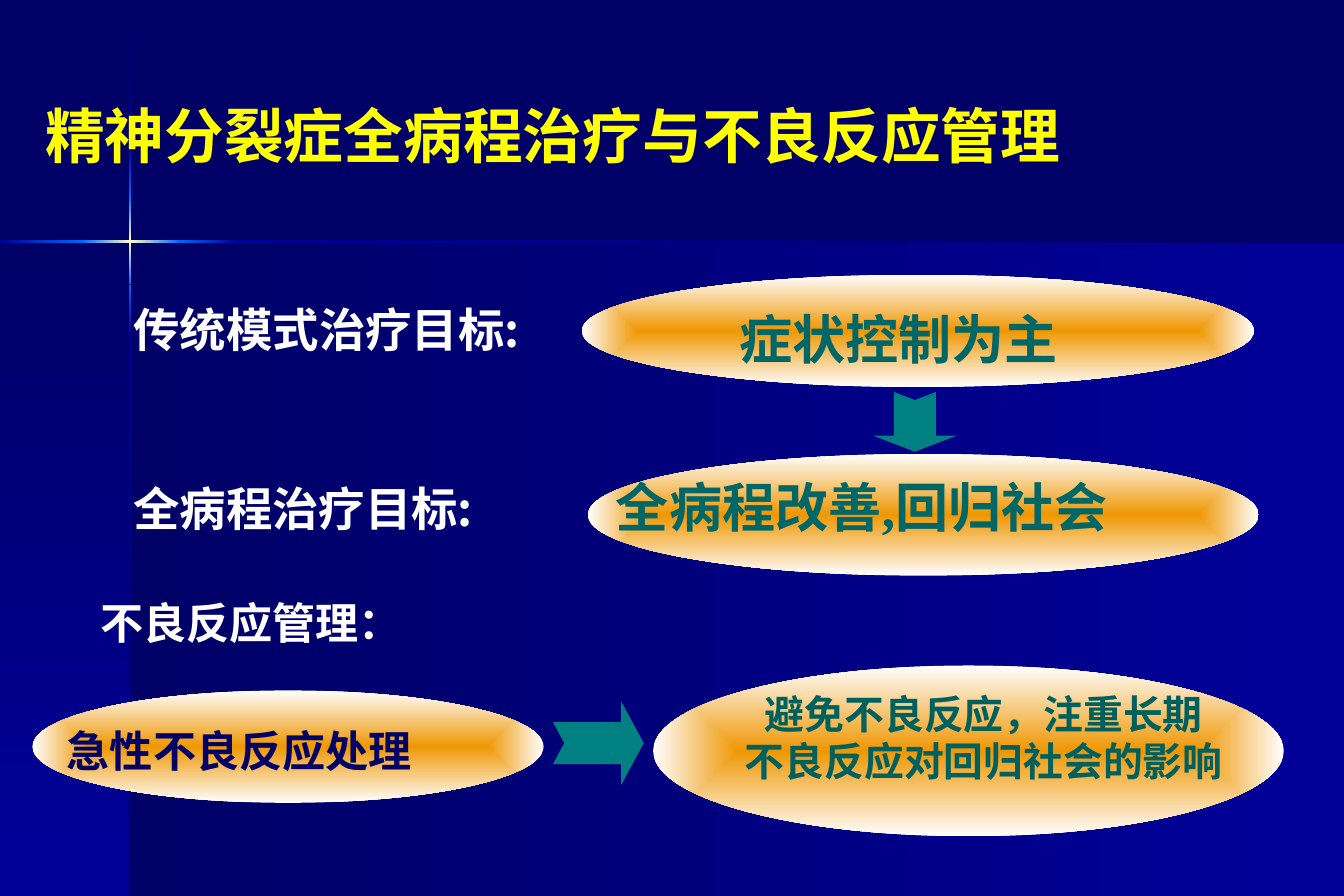
import itertools

import lxml.etree
import pptx
import pptx.dml.color
import pptx.enum.shapes
import pptx.enum.text
import pptx.oxml
import pptx.oxml.ns
import pptx.util

Cm = pptx.util.Cm
ALIGN = pptx.enum.text.PP_ALIGN
ANCHOR = pptx.enum.text.MSO_ANCHOR
PRESET = pptx.enum.shapes.MSO_SHAPE

THEME = {
    "night": "000066", "navy": "000099", "glow": "0066FF", "spark": "FFFFCC",
    "orange": "EF9703", "pearl": "FEFEFE", "teal": "008080",
    "yellow": "FFFF00", "white": "FFFFFF", "green": "006666", "deep green": "00605E",
    "title": 36, "goal": 32, "label": 28, "heading": 26, "detail": 24,
    "title font": "Karla", "goal font": "Times New Roman",
    "label font": "Noto Sans CJK SC",
}
WIDTH, HEIGHT = 28.58, 19.05

# The two beams cross at a spark; each list of edges runs from end to end.
BEAM = 0.05
BEAM_X, BEAM_Y = 2.74, 5.11
RAMPS = [("night", "navy"), ("navy", "glow"), ("glow", "spark", "glow"),
         ("glow", "navy"), ("navy", "night")]
VERTICAL_EDGES = [0.03, 3.07, 4.19, 6.05, 7.16, HEIGHT]
HORIZONTAL_EDGES = [0, 1.75, 3.81, 5.05, WIDTH]

# Boxes are left, top, width, height in centimetres.
ELLIPSES = [
    (12.37, 5.84, 14.3, 2.39),
    (12.5, 9.65, 14.27, 2.59),
    (0.69, 14.68, 10.87, 2.39),
    (13.89, 14.15, 13.41, 3.63),
]
ARROWS = [
    ((18.82, 8.08, 1.27, 1.78), 90),
    ((11.76, 14.91, 1.93, 1.78), 0),
]
TEXTS = [
    (["精神分裂症全病程治疗与不良反应管理"], (0.71, 1.27, 27.8, 3.18),
     "title", "title font", "yellow", ALIGN.LEFT, ANCHOR.MIDDLE),
    (["传统模式治疗目标:"], (2.59, 6.27, 8.5, 2.9),
     "label", "label font", "white", ALIGN.LEFT, ANCHOR.TOP),
    (["全病程治疗目标:"], (2.39, 10.08, 7.92, 2.9),
     "label", "label font", "white", ALIGN.RIGHT, ANCHOR.TOP),
    (["不良反应管理："], (1.88, 12.55, 9, 1.6),
     "heading", "title font", "white", ALIGN.LEFT, ANCHOR.TOP),
    (["症状控制为主"], (15.47, 6.38, 9, 1.7),
     "goal", "goal font", "green", ALIGN.LEFT, ANCHOR.TOP),
    (["全病程改善,回归社会"], (12.85, 9.96, 13, 1.7),
     "goal", "goal font", "green", ALIGN.LEFT, ANCHOR.TOP),
    (["急性不良反应处理"], (1.17, 15.27, 10, 1.6),
     "heading", "title font", "night", ALIGN.LEFT, ANCHOR.TOP),
    (["避免不良反应，注重长期", "不良反应对回归社会的影响"], (14.61, 14.53, 12.62, 2.8),
     "detail", "label font", "deep green", ALIGN.CENTER, ANCHOR.TOP),
]


def color(name):
    return pptx.dml.color.RGBColor.from_string(THEME[name])


def set_formats(target, formats):
    for name, value in formats.items():
        setattr(target, name, value)


def add_plain_shape(slide, preset, box):
    """Add a shape with no outline, shadow or fill."""
    shape = slide.shapes.add_shape(preset, *map(Cm, box))
    shape.shadow.inherit = False
    shape.line.fill.background()
    shape.fill.background()
    return shape


def set_gradient(shape, names, direction):
    """Spread the named colours evenly along the direction element."""
    stops = "".join(
        f'<a:gs pos="{100000 * index // (len(names) - 1)}">'
        f'<a:srgbClr val="{THEME[name]}"/></a:gs>'
        for index, name in enumerate(names))
    gradient = pptx.oxml.parse_xml(
        f'<a:gradFill {pptx.oxml.ns.nsdecls("a")} rotWithShape="1">'
        f"<a:gsLst>{stops}</a:gsLst>{direction}</a:gradFill>")
    properties = shape.element.spPr
    properties.replace(properties.find(pptx.oxml.ns.qn("a:noFill")), gradient)


RIGHTWARD = '<a:lin ang="0" scaled="0"/>'
DOWNWARD = '<a:lin ang="5400000" scaled="0"/>'
OUTWARD = ('<a:path path="rect"><a:fillToRect l="50000" t="50000" '
           'r="50000" b="50000"/></a:path>')


def add_gradient(slide, preset, box, names, direction):
    set_gradient(add_plain_shape(slide, preset, box), names, direction)


def add_backdrop(slide):
    slide.background.fill.solid()
    slide.background.fill.fore_color.rgb = color("night")
    top, split = 5.13, 2.77
    panels = [((split, top, WIDTH - split, HEIGHT - top), RIGHTWARD),
              ((0, top, split, HEIGHT - top), DOWNWARD)]
    for box, direction in panels:
        add_gradient(slide, PRESET.RECTANGLE, box, ("night", "navy"), direction)
    for (start, end), ramp in zip(itertools.pairwise(VERTICAL_EDGES), RAMPS):
        box = (BEAM_X, start, BEAM, end - start)
        add_gradient(slide, PRESET.RECTANGLE, box, ramp, DOWNWARD)
    for (start, end), ramp in zip(itertools.pairwise(HORIZONTAL_EDGES), RAMPS[1:]):
        box = (start, BEAM_Y, end - start, BEAM)
        add_gradient(slide, PRESET.RECTANGLE, box, ramp, RIGHTWARD)


def add_arrow(slide, box, rotation):
    arrow = add_plain_shape(slide, PRESET.NOTCHED_RIGHT_ARROW, box)
    arrow.fill.solid()
    arrow.fill.fore_color.rgb = color("teal")
    arrow.rotation = rotation
    arrow.adjustments[0] = 0.5
    arrow.adjustments[1] = 0.27


def add_text(slide, lines, box, size, font, ink, alignment, anchor):
    frame = slide.shapes.add_textbox(*map(Cm, box)).text_frame
    set_formats(frame, {"word_wrap": True, "vertical_anchor": anchor,
                        "text": "\n".join(lines)})
    for paragraph in frame.paragraphs:
        paragraph.alignment = alignment
        for run in paragraph.runs:
            set_formats(run.font, {"name": THEME[font], "bold": True,
                                   "size": pptx.util.Pt(THEME[size])})
            run.font.color.rgb = color(ink)
            east_asian = lxml.etree.Element(pptx.oxml.ns.qn("a:ea"))
            east_asian.set("typeface", THEME["label font"])
            run.font._element.find(pptx.oxml.ns.qn("a:latin")).addnext(east_asian)


def main():
    presentation = pptx.Presentation()
    set_formats(presentation, {"slide_width": Cm(WIDTH), "slide_height": Cm(HEIGHT)})
    slide = presentation.slides.add_slide(presentation.slide_layouts[6])
    add_backdrop(slide)
    for box in ELLIPSES:
        add_gradient(slide, PRESET.OVAL, box, ("orange", "pearl"), OUTWARD)
    for box, rotation in ARROWS:
        add_arrow(slide, box, rotation)
    for text in TEXTS:
        add_text(slide, *text)
    presentation.save("out.pptx")


if __name__ == "__main__":
    main()
